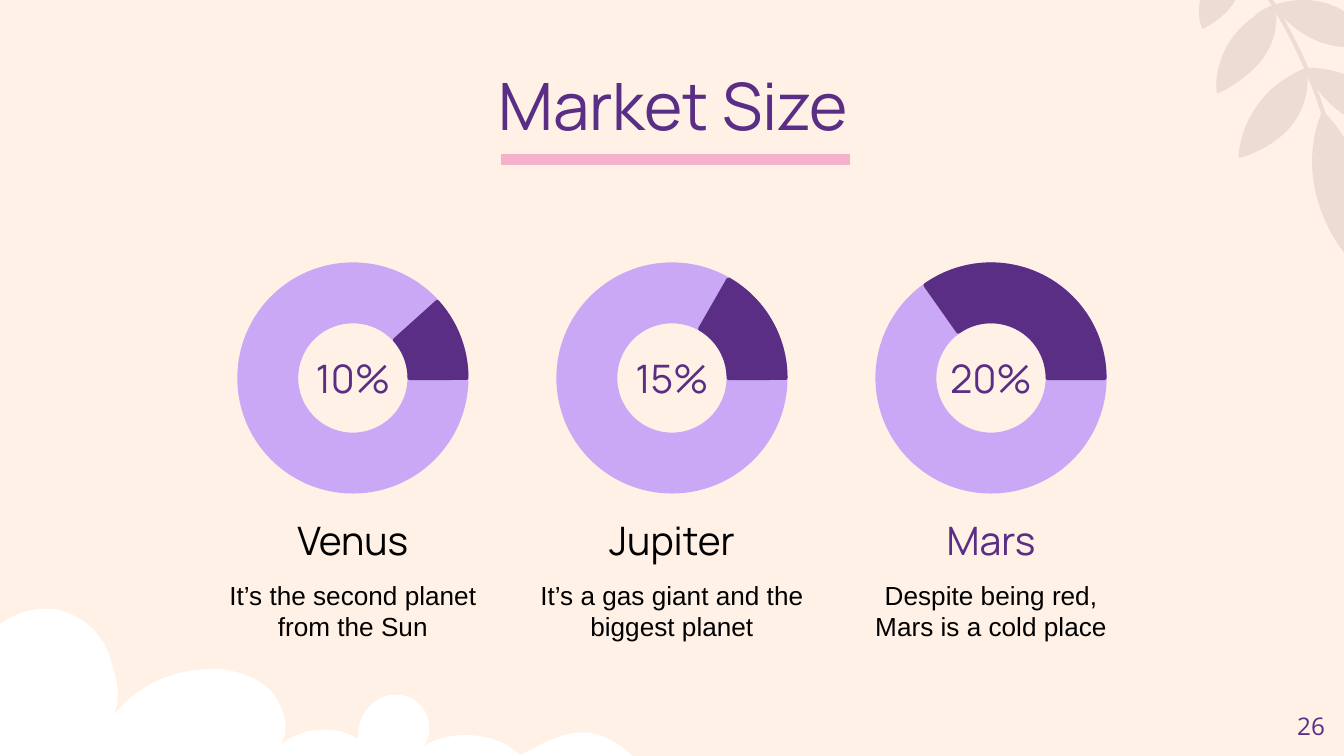
from dataclasses import dataclass
from math import cos, radians, sin

from lxml import etree
from pptx import Presentation
from pptx.dml.color import RGBColor
from pptx.enum.shapes import MSO_CONNECTOR, MSO_SHAPE
from pptx.enum.text import MSO_ANCHOR, MSO_AUTO_SIZE, PP_ALIGN
from pptx.oxml.ns import qn
from pptx.util import Cm, Pt

DONUT, BLOCK_ARC = MSO_SHAPE.DONUT, MSO_SHAPE.BLOCK_ARC
STRAIGHT = MSO_CONNECTOR.STRAIGHT
TOP, MIDDLE, BOTTOM = MSO_ANCHOR.TOP, MSO_ANCHOR.MIDDLE, MSO_ANCHOR.BOTTOM
CENTER, RIGHT = PP_ALIGN.CENTER, PP_ALIGN.RIGHT
NO_AUTOFIT = MSO_AUTO_SIZE.NONE


@dataclass(frozen=True)
class Theme:
    background: str = "FFF1E6"
    cloud: str = "FFFFFF"
    leaf: str = "EDDCD2"
    purple: str = "592E84"
    lilac: str = "CAA8F5"
    pink: str = "F5B0CB"
    black: str = "000000"
    heading_font: str = "Manrope"
    body_font: str = "Arial"
    number_font: str = "Open Sans"
    title_size: int = 35
    heading_size: int = 21
    body_size: int = 14
    number_size: int = 13


THEME = Theme()
TITLE_ONLY = 5
SLIDE_WIDTH, SLIDE_HEIGHT = 25.4, 14.29
COLUMN_PITCH = 6.03
RING_SIZE, RING_TOP, RING_THICKNESS = 4.29, 5.0, 0.25
CAPTION_WIDTH = 5.08
ADJUSTMENT_PER_DEGREE = 0.6
BRANCH_ANGLE = 143.3
OUTLINE_UNIT = Cm(0.254) // 10

PLANETS = [
    ("Venus", "It’s the second planet from the Sun", "10%", 318, THEME.black),
    ("Jupiter", "It’s a gas giant and the biggest planet", "15%", 299.87, THEME.black),
    ("Mars", "Despite being red, Mars is a cold place", "20%", 234.81, THEME.purple),
]

CLOUD_FRAME = (-246, 277, 721, 292)
CLOUD = [
    (-88, 277), (-62, 277, -37, 292, -22, 313), (-4, 338, 0, 371, -2, 401),
    (-5, 428, -8, 460, -16, 487), (-12, 476, -5, 467, 5, 461),
    (14, 456, 24, 453, 34, 453), (38, 453, 43, 453, 47, 455),
    (62, 459, 75, 471, 81, 487), (86, 502, 92, 520, 83, 534),
    (100, 511, 128, 498, 157, 498), (160, 498, 162, 498, 165, 498),
    (179, 500, 194, 505, 203, 516), (212, 528, 217, 545, 207, 556),
    (215, 548, 228, 543, 241, 543), (250, 543, 259, 545, 266, 550),
    (266, 539, 271, 526, 281, 521), (285, 518, 290, 517, 294, 517),
    (301, 517, 307, 519, 312, 524), (320, 531, 323, 548, 314, 556),
    (323, 550, 335, 547, 346, 547), (362, 547, 377, 552, 387, 562),
    (402, 554, 418, 545, 434, 545), (437, 545, 439, 545, 442, 546),
    (453, 548, 469, 558, 475, 569), (-244, 569),
    (-246, 548, -246, 526, -244, 507), (-240, 487, -230, 467, -215, 454),
    (-206, 448, -195, 444, -184, 444), (-174, 444, -164, 447, -156, 452),
    (-163, 419, -170, 385, -164, 352), (-157, 319, -135, 286, -102, 279),
    (-97, 278, -92, 277, -88, 277),
]
STEM_FRAME = (881, -199, 57, 347)
STEM = [(996, 127), (972, 9, 891, -96, 783, -148)]
LEAVES = [
    ((962, 85, 69, 98),
     [(1003, 191), (1003, 191, 960, 143, 984, 83), (984, 83, 1036, 130, 1003, 191)]),
    ((980, 34, 58, 86),
     [(1049, 101), (987, 96, 972, 51, 972, 51), (1025, 50, 1049, 100, 1049, 101)]),
    ((908, 70, 80, 32),
     [(949, 104), (942, 109, 933, 114, 922, 117), (922, 117, 922, 85, 952, 62),
      (958, 58, 964, 54, 972, 51), (972, 51, 978, 83, 949, 104)]),
    ((960, -17, 55, 66),
     [(1021, 32), (975, 45, 948, 4, 948, 4), (1001, -12, 1021, 32, 1021, 32)]),
    ((891, 21, 73, 32),
     [(924, 58), (919, 62, 913, 66, 906, 69), (905, 68, 902, 35, 933, 13),
      (937, 9, 942, 6, 948, 4), (948, 4, 957, 34, 924, 58)]),
    ((882, -20, 54, 28),
     [(906, 14), (903, 16, 899, 19, 895, 21), (895, 21, 883, -4, 912, -26),
      (915, -28, 919, -30, 922, -32), (922, -32, 932, -6, 906, 14)]),
]


def rgb(color):
    return RGBColor.from_string(color)


def paint(shape, fill, line_width):
    shape.shadow.inherit = False
    if fill:
        shape.fill.solid()
        shape.fill.fore_color.rgb = rgb(fill)
    else:
        shape.fill.background()
    if not line_width:
        shape.line.fill.background()


def draw_line(line, color, width):
    line.color.rgb = rgb(color)
    line.width = Pt(width)


def local_points(segment, frame, angle):
    left, top, width, height = frame
    turn = radians(-angle)
    for x, y in zip(segment[::2], segment[1::2]):
        dx, dy = x - left - width / 2, y - top - height / 2
        yield (round((dx * cos(turn) - dy * sin(turn) + width / 2) * OUTLINE_UNIT),
               round((dx * sin(turn) + dy * cos(turn) + height / 2) * OUTLINE_UNIT))


def trace_curves(path, segments, closed):
    for drawn in list(path):
        path.remove(drawn)
    for index, points in enumerate(segments):
        tag = "a:moveTo" if index == 0 else "a:cubicBezTo" if len(points) == 3 else "a:lnTo"
        step = etree.SubElement(path, qn(tag))
        for x, y in points:
            etree.SubElement(step, qn("a:pt"), x=str(x), y=str(y))
    if closed:
        etree.SubElement(path, qn("a:close"))
    else:
        path.set("fill", "none")


def add_outline(slide, frame, segments, color, line_width=0, angle=0, closed=True):
    local = [list(local_points(segment, frame, angle)) for segment in segments]
    builder = slide.shapes.build_freeform(*local[0][0])
    builder.add_line_segments([points[-1] for points in local[1:]], close=closed)
    outline = builder.convert_to_shape()
    left, top, width, height = (value * OUTLINE_UNIT for value in frame)
    outline.left, outline.top, outline.width, outline.height = left, top, width, height
    outline.rotation = angle
    path = outline._element.spPr.find(".//" + qn("a:path"))
    path.set("w", str(width))
    path.set("h", str(height))
    trace_curves(path, local, closed)
    paint(outline, color if closed else None, line_width)
    if line_width:
        draw_line(outline.line, color, line_width)


def write(holder, text, size, color, font, align=CENTER, anchor=TOP, margin=0):
    frame = holder.text_frame
    frame.text = text
    frame.word_wrap = True
    frame.auto_size = NO_AUTOFIT
    frame.vertical_anchor = anchor
    frame.margin_left = frame.margin_right = Cm(margin)
    frame.margin_top = frame.margin_bottom = Cm(margin)
    paragraph = frame.paragraphs[0]
    paragraph.alignment = align
    face = paragraph.runs[0].font
    face.name, face.size, face.color.rgb = font, Pt(size), rgb(color)


def add_text(slide, left, top, width, height, *content, **layout):
    box = slide.shapes.add_textbox(Cm(left), Cm(top), Cm(width), Cm(height))
    write(box, *content, **layout)


def add_title(slide, text):
    title = slide.shapes.title
    title.left, title.top, title.width, title.height = Cm(2.03), Cm(1.24), Cm(21.39), Cm(1.63)
    write(title, text, THEME.title_size, THEME.purple, THEME.heading_font)


def add_underline(slide):
    underline = slide.shapes.add_connector(STRAIGHT, Cm(9.47), Cm(3.02), Cm(16.06), Cm(3.02))
    draw_line(underline.line, THEME.pink, 6)
    etree.SubElement(underline._element.spPr, qn("a:effectLst"))


def add_ring(slide, preset, center, color, adjustments):
    ring = slide.shapes.add_shape(
        preset, Cm(center - RING_SIZE / 2), Cm(RING_TOP), Cm(RING_SIZE), Cm(RING_SIZE))
    for index, value in enumerate(adjustments):
        ring.adjustments[index] = value
    paint(ring, color, 2.25)
    draw_line(ring.line, color, 2.25)
    etree.SubElement(ring.line._get_or_add_ln(), qn("a:round"))


def add_planet(slide, center, name, description, share, start_angle, name_color):
    add_ring(slide, DONUT, center, THEME.lilac, [RING_THICKNESS])
    add_ring(slide, BLOCK_ARC, center, THEME.purple,
             [start_angle * ADJUSTMENT_PER_DEGREE, 0, RING_THICKNESS])
    add_text(slide, center - RING_SIZE / 2, 6.65, RING_SIZE, 0.97, share,
             THEME.heading_size, THEME.purple, THEME.heading_font, anchor=MIDDLE)
    caption_left = center - CAPTION_WIDTH / 2
    add_text(slide, caption_left, 9.35, CAPTION_WIDTH, 1.3, name,
             THEME.heading_size, name_color, THEME.heading_font, anchor=BOTTOM)
    add_text(slide, caption_left, 10.95, CAPTION_WIDTH, 1.78, description,
             THEME.body_size, THEME.black, THEME.body_font)


def main():
    deck = Presentation()
    deck.slide_width, deck.slide_height = Cm(SLIDE_WIDTH), Cm(SLIDE_HEIGHT)
    slide = deck.slides.add_slide(deck.slide_layouts[TITLE_ONLY])
    slide.background.fill.solid()
    slide.background.fill.fore_color.rgb = rgb(THEME.background)

    add_outline(slide, CLOUD_FRAME, CLOUD, THEME.cloud)
    add_outline(slide, STEM_FRAME, STEM, THEME.leaf, 2.25, BRANCH_ANGLE, closed=False)
    for frame, leaf in LEAVES:
        add_outline(slide, frame, leaf, THEME.leaf, 0.75, BRANCH_ANGLE)

    add_title(slide, "Market Size")
    add_underline(slide)
    for column, planet in enumerate(PLANETS):
        add_planet(slide, SLIDE_WIDTH / 2 + (column - 1) * COLUMN_PITCH, *planet)
    add_text(slide, 23.77, 13.2, 1.52, 1.09, "26", THEME.number_size, THEME.purple,
             THEME.number_font, align=RIGHT, margin=0.25)
    deck.save("out.pptx")


if __name__ == "__main__":
    main()
